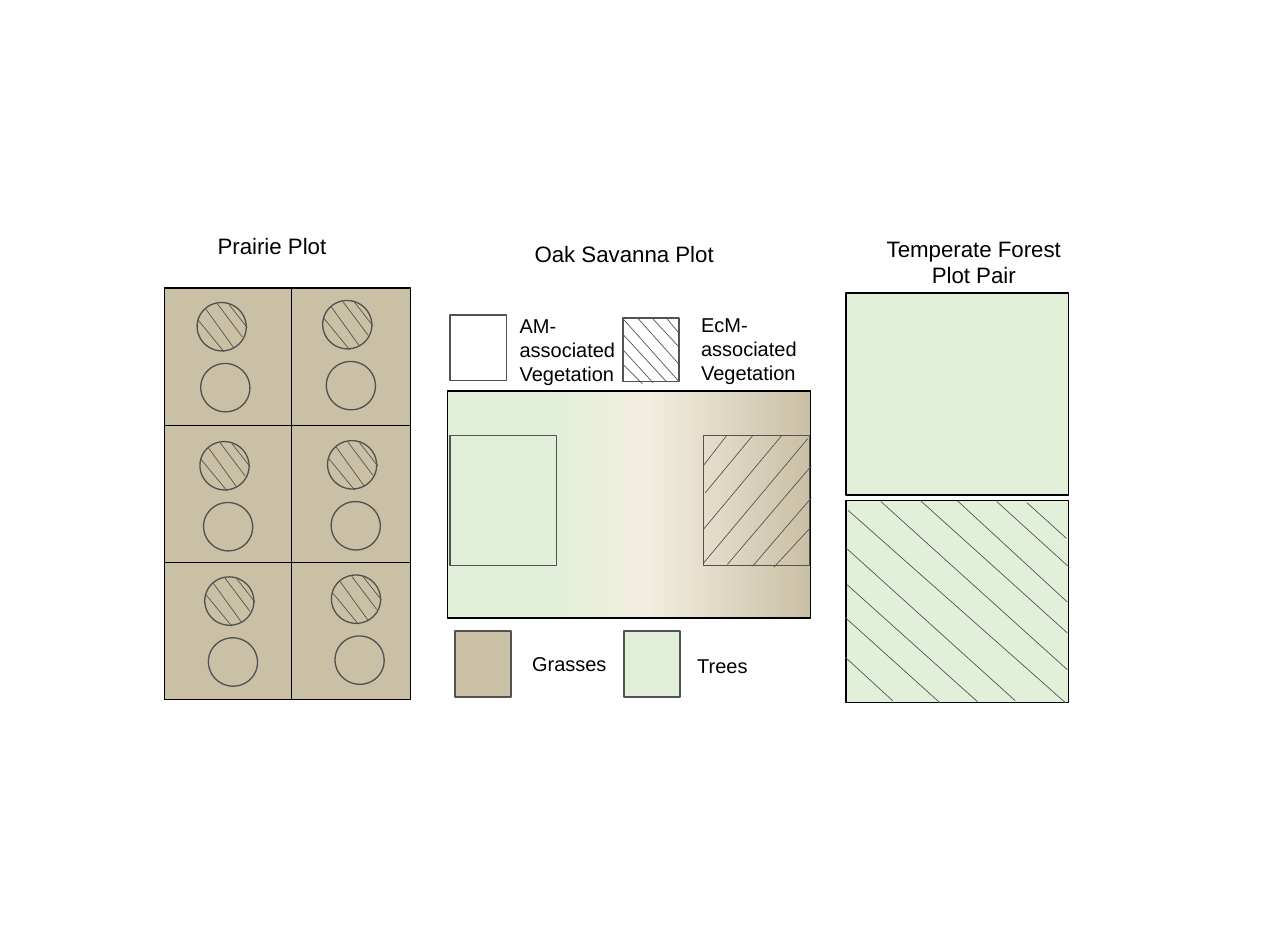
from copy import deepcopy

from pptx import Presentation
from pptx.dml.color import RGBColor
from pptx.enum import shapes, text
from pptx.oxml import ns
from pptx.util import Pt

COLORS = {"black": "000000", "outline": "525252", "grass": "C9C0A5",
          "tree": "E2F0D9", "tree_key": "E1EFD9", "blend": "F3EDDF"}
RECT = shapes.MSO_SHAPE.RECTANGLE
OVAL = shapes.MSO_SHAPE.OVAL
CENTER, LEFT = text.PP_ALIGN.CENTER, text.PP_ALIGN.LEFT

# Lines, left, top, width, height, size, alignment
LABELS = [
    (["Prairie Plot"], 69.8, 169.2, 265.7, 27.4, 16.6, CENTER),
    (["Oak Savanna Plot"], 329.8, 175.7, 270.7, 27.4, 16.6, CENTER),
    (["Temperate Forest", "Plot Pair"], 607, 171.4, 237.6, 47.5, 16.6, CENTER),
    (["AM- associated Vegetation"], 380.2, 229.7, 108.7, 61.2, 14.9, LEFT),
    (["EcM- associated Vegetation"], 515.5, 229, 118.8, 61.2, 14.9, LEFT),
    (["Grasses"], 389.5, 481.7, 118.8, 25.2, 14.9, LEFT),
    (["Trees"], 512.6, 483.1, 64.1, 25.2, 14.9, LEFT),
]

PRAIRIE = (122.4, 214.6, 183.6, 306.7)
PRAIRIE_ROWS, PRAIRIE_DIVIDER = 3, 217.1
ECM_CIRCLES = [(146.9, 225.4), (240.5, 223.9), (149, 329),
               (244.1, 328.3), (152.6, 429.8), (247, 428.4)]
CIRCLE_SIZE = (36.7, 36)
AM_OFFSET = (2.7, 45.4)

SAVANNA = (333.7, 291.2, 270.7, 169.2)
SAVANNA_BLEND = [(0, "tree"), (0.29, "tree"), (0.55, "blend"), (1, "grass")]
SAVANNA_AM = (335.5, 324.7, 79.2, 96.5)
SAVANNA_ECM = (524.2, 324.7, 79.2, 96.5)

FOREST_AM = (630.7, 218.2, 165.6, 150.5)
FOREST_ECM = (630.7, 373, 165.6, 150.5)

AM_KEY = (335.5, 234.7, 41.8, 49)
ECM_KEY = (464.4, 236.9, 41.8, 47.5)
GRASS_KEY = (339.1, 470.2, 41.8, 49)
TREE_KEY = (465.1, 470.2, 41.8, 49)

# Hatching: x1, y1, x2, y2 from the top left corner of the hatched area
CIRCLE_HATCH = [(15.1, 0.9, 33.8, 25.7), (6.5, 4.8, 27.4, 33.8),
                (0.7, 13, 20.2, 36.7), (23.8, 1.4, 37.4, 18.7)]
SAVANNA_HATCH = [(77.8, 2.2, 0, 95), (58.3, 0, 0, 69.8), (17.3, 0, 0, 22.3),
                 (80.6, 46.1, 36.7, 97.2), (79.9, 68.4, 52.6, 97.9),
                 (80.6, 22.3, 18, 95.8), (36.7, 0, 1.4, 42.5)]
FOREST_HATCH = [(1.4, 7.2, 163.4, 150.5), (25.9, 0.7, 164.9, 126),
                (55.4, 0, 164.9, 98.6), (82.8, 0, 164.9, 75.6),
                (112.3, 0.7, 166.3, 49.7), (134.6, 1.4, 164.2, 28.1),
                (0, 35.3, 126, 149), (0.7, 62.6, 97.9, 149.8),
                (-0.7, 87.1, 69.8, 150.5), (-0.7, 116.6, 34.6, 149)]
KEY_HATCH = [(0.7, 1.4, 41.8, 47.5), (10.8, 0, 41.8, 34.6),
             (32.4, 0, 41.8, 11.5), (22.3, 0.7, 41, 20.9),
             (-0.7, 11.5, 32.4, 47.5), (-0.7, 23, 22.3, 48.2),
             (0, 34.6, 14.4, 49)]


def rgb(name):
    return RGBColor.from_string(COLORS[name])


def add_area(slide, box, fill=None, line="outline", kind=RECT):
    area = slide.shapes.add_shape(kind, *map(Pt, box))
    area.shadow.inherit = False
    if fill:
        area.fill.solid()
        area.fill.fore_color.rgb = rgb(fill)
    else:
        area.fill.background()
    area.line.color.rgb = rgb(line)
    area.line.width = Pt(1)
    return area


def add_line(slide, ends, color="outline", width=0.5):
    line = slide.shapes.add_connector(shapes.MSO_CONNECTOR.STRAIGHT, *map(Pt, ends))
    line.line.color.rgb = rgb(color)
    line.line.width = Pt(width)
    spPr = line._element.spPr
    spPr.append(spPr.makeelement(ns.qn("a:effectLst"), {}))


def add_hatch(slide, box, segments):
    left, top = box[:2]
    for x1, y1, x2, y2 in segments:
        add_line(slide, (left + x1, top + y1, left + x2, top + y2))


def add_label(slide, lines, left, top, width, height, size, align):
    label = slide.shapes.add_textbox(*map(Pt, (left, top, width, height)))
    frame = label.text_frame
    frame.text = "\n".join(lines)
    frame.word_wrap = True
    frame.auto_size = text.MSO_AUTO_SIZE.SHAPE_TO_FIT_TEXT
    for paragraph in frame.paragraphs:
        paragraph.alignment = align
        font = paragraph.runs[0].font
        for name, value in {"name": "Arial", "size": Pt(size)}.items():
            setattr(font, name, value)
        font.color.rgb = rgb("black")


def blend_fill(area, stops):
    """Fill the area with a left-to-right gradient of any number of stops."""
    area.fill.gradient()
    area.fill.gradient_angle = 0
    stop_list = area._element.spPr.find(".//" + ns.qn("a:gsLst"))
    while len(stop_list) < len(stops):
        stop_list.append(deepcopy(stop_list[0]))
    for stop, (position, color) in zip(area.fill.gradient_stops, stops):
        stop.position = position
        stop.color.rgb = rgb(color)


def draw_prairie(slide):
    left, top, width, height = PRAIRIE
    add_area(slide, PRAIRIE, "grass", "black")
    for row in range(1, PRAIRIE_ROWS):
        y = top + height * row / PRAIRIE_ROWS
        add_line(slide, (left, y, left + width, y), "black", 1)
    add_line(slide, (PRAIRIE_DIVIDER, top, PRAIRIE_DIVIDER, top + height), "black", 1)
    for x, y in ECM_CIRCLES:
        am_place = (x + AM_OFFSET[0], y + AM_OFFSET[1])
        for place in ((x, y), am_place):
            add_area(slide, place + CIRCLE_SIZE, kind=OVAL).rotation = 16.1
        add_hatch(slide, (x, y), CIRCLE_HATCH)


def draw_savanna(slide):
    blend_fill(add_area(slide, SAVANNA, line="black"), SAVANNA_BLEND)
    for square in (SAVANNA_AM, SAVANNA_ECM):
        add_area(slide, square)
    add_hatch(slide, SAVANNA_ECM, SAVANNA_HATCH)


def draw_forest(slide):
    for plot in (FOREST_AM, FOREST_ECM):
        add_area(slide, plot, "tree", "black")
    add_hatch(slide, FOREST_ECM, FOREST_HATCH)


def draw_legend(slide):
    for key, fill in ((AM_KEY, None), (ECM_KEY, None),
                      (GRASS_KEY, "grass"), (TREE_KEY, "tree_key")):
        add_area(slide, key, fill)
    add_hatch(slide, ECM_KEY, KEY_HATCH)


def main():
    prs = Presentation()
    prs.slide_width, prs.slide_height = Pt(960), Pt(708.5)
    slide = prs.slides.add_slide(prs.slide_layouts[6])
    for draw in (draw_forest, draw_savanna, draw_legend, draw_prairie):
        draw(slide)
    for label in LABELS:
        add_label(slide, *label)
    prs.save("out.pptx")


if __name__ == "__main__":
    main()
